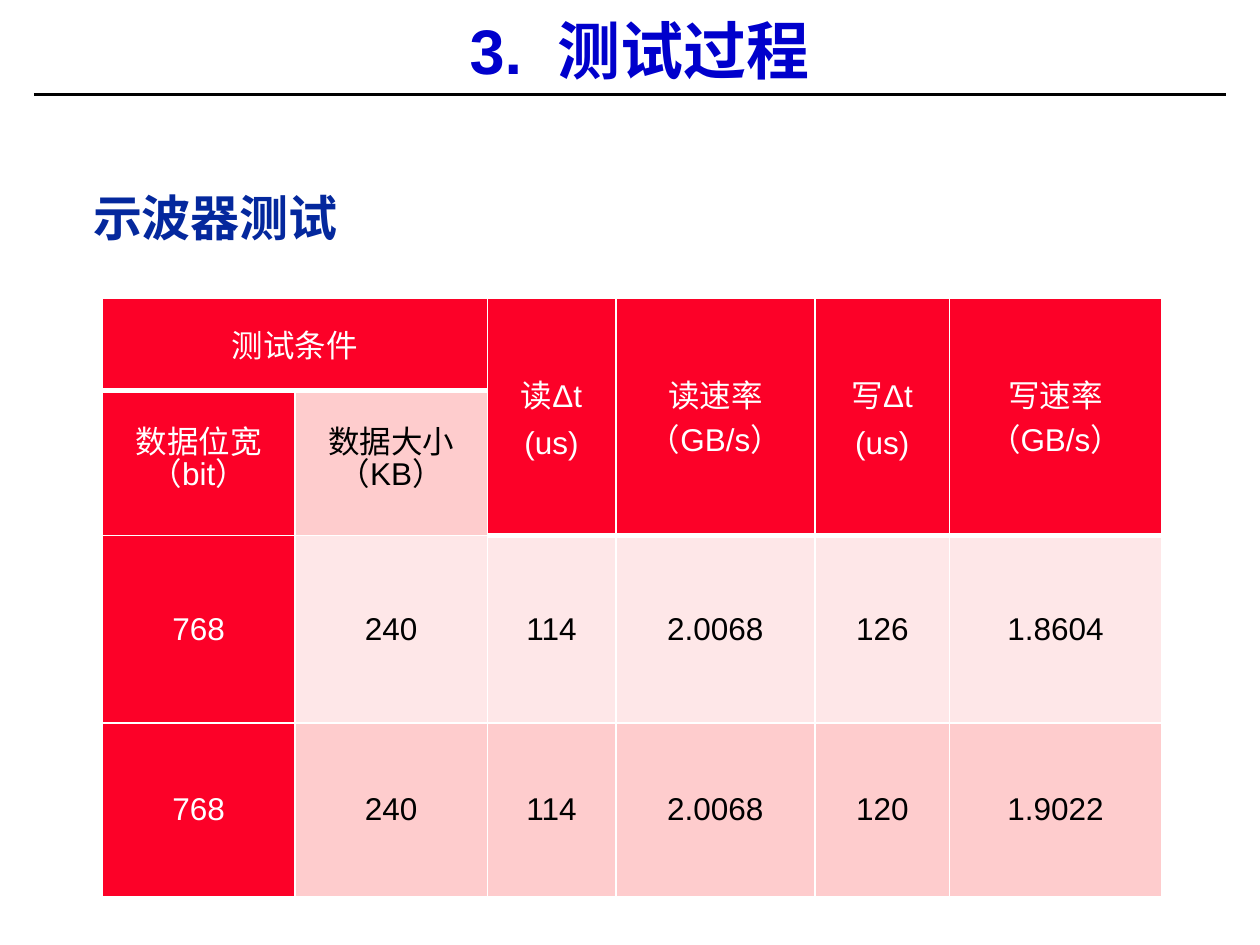
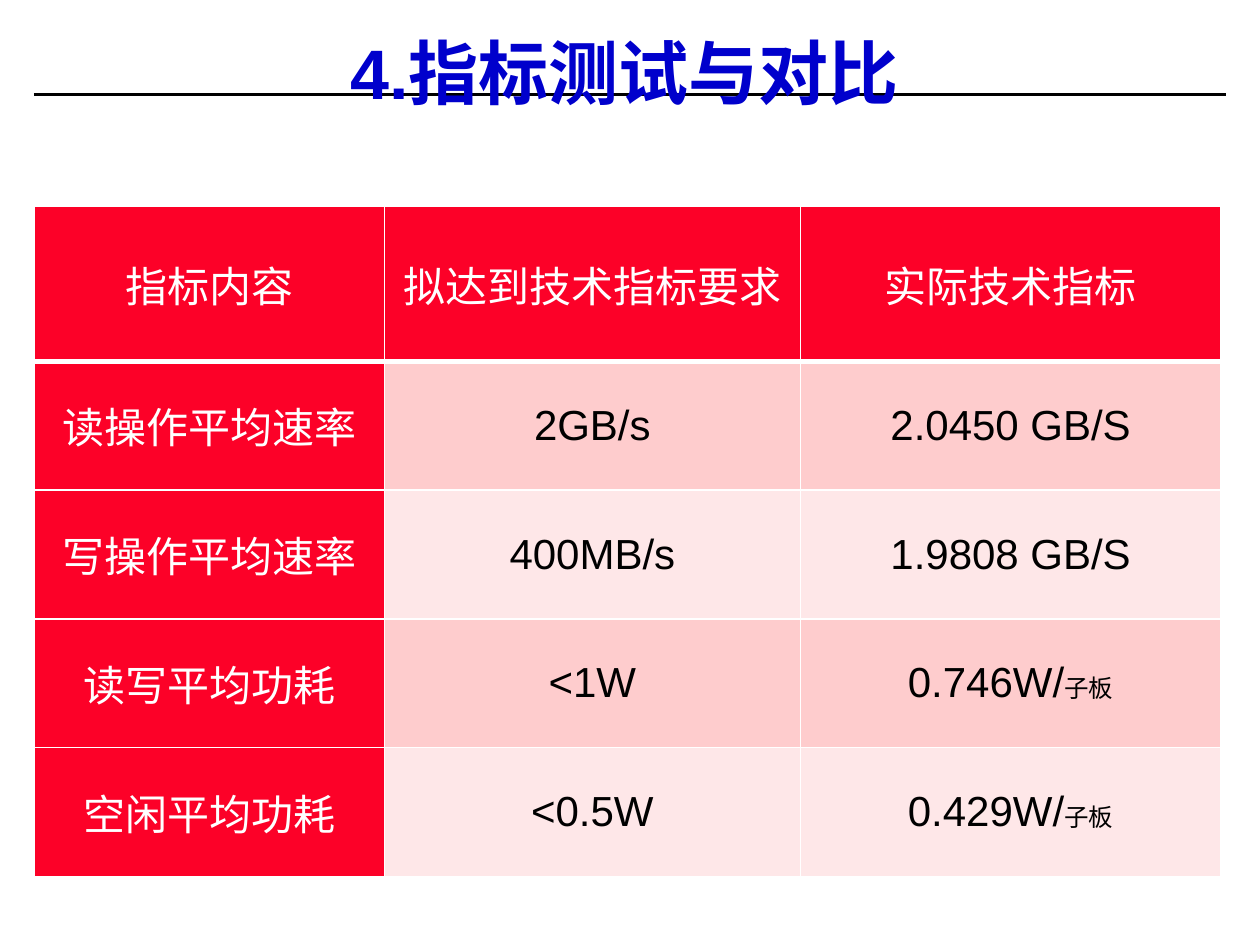
from lxml.etree import SubElement
from pptx import Presentation
from pptx.dml.color import RGBColor
from pptx.enum.shapes import MSO_CONNECTOR
from pptx.enum.text import MSO_ANCHOR, PP_ALIGN
from pptx.oxml.ns import qn
from pptx.util import Pt

COLORS = {
    "title": "0000CC",
    "subtitle": "04289D",
    "rule": "000000",
    "header": "FC0128",
    "dark_band": "FECCCD",
    "light_band": "FEE7E8",
    "white": "FFFFFF",
    "black": "000000",
}
FONT = "Arial"
NOTE_SIZE = 14


def color(name):
    return RGBColor.from_string(COLORS[name])


def add_run(p, text, size, name, bold=False):
    r = p.add_run()
    r.text = text
    r.font.name = FONT
    r.font.size = Pt(size)
    r.font.bold = bold
    r.font.color.rgb = color(name)
    return r


def add_rule(slide):
    ln = slide.shapes.add_connector(
        MSO_CONNECTOR.STRAIGHT, Pt(19.4), Pt(54), Pt(700.6), Pt(54))
    ln.line.color.rgb = color("rule")
    ln.line.width = Pt(1.5)
    SubElement(ln._element.spPr, qn("a:effectLst"))


def add_heading(slide, box, runs, size, name, align=PP_ALIGN.CENTER,
                anchor=MSO_ANCHOR.TOP, wrap=True, insets=(7.2, 3.6), spacing=None):
    tf = slide.shapes.add_textbox(*map(Pt, box)).text_frame
    tf.word_wrap = wrap
    tf.vertical_anchor = anchor
    tf.margin_left = tf.margin_right = Pt(insets[0])
    tf.margin_top = tf.margin_bottom = Pt(insets[1])
    p = tf.paragraphs[0]
    p.alignment = align
    p.line_spacing = spacing
    for text, tracking in runs:
        r = add_run(p, text, size, name, bold=True)
        if tracking:
            r._r.get_or_add_rPr().set("spc", str(tracking * 100))


def set_borders(cell, bottom):
    tc_pr = cell._tc.get_or_add_tcPr()
    for i, side in enumerate("LRTB"):
        width = bottom if side == "B" else 1
        ln = SubElement(tc_pr, qn(f"a:ln{side}"), w=str(Pt(width)))
        fill = SubElement(ln, qn("a:solidFill"))
        SubElement(fill, qn("a:srgbClr"), val=COLORS["white"])
        tc_pr.insert(i, ln)


def fill_cell(cell, paragraphs, size, text_color, spacing):
    tf = cell.text_frame
    for i, text in enumerate(paragraphs):
        p = tf.add_paragraph() if i else tf.paragraphs[0]
        p.alignment = PP_ALIGN.CENTER
        if spacing:
            p.line_spacing = Pt(spacing)
        main, _, note = text.partition("|")
        add_run(p, main, size, text_color)
        if note:
            add_run(p, note, NOTE_SIZE, text_color)


def add_grid(slide, left, top, cols, rows, cells, size, merges=(), spacings=None):
    frame = slide.shapes.add_table(len(rows), len(cols), Pt(left), Pt(top),
                                   Pt(sum(cols)), Pt(sum(rows)))
    table = frame.table
    for col, width in zip(table.columns, cols):
        col.width = Pt(width)
    for row, height in zip(table.rows, rows):
        row.height = Pt(height)
    for start, end in merges:
        table.cell(*start).merge(table.cell(*end))
    for i, texts in enumerate(cells):
        for j, text in enumerate(texts):
            cell = table.cell(i, j)
            header = i == 0 or j == 0
            band = "dark_band" if i % 2 else "light_band"
            cell.fill.solid()
            cell.fill.fore_color.rgb = color("header" if header else band)
            cell.vertical_anchor = MSO_ANCHOR.MIDDLE
            cell.margin_left = cell.margin_right = Pt(5)
            cell.margin_top = cell.margin_bottom = Pt(0)
            set_borders(cell, 3 if i == 0 else 1)
            if text:
                fill_cell(cell, text.split("\n"), size,
                          "white" if header else "black",
                          (spacings or {}).get(i))


def build_test_slide(slide):
    add_rule(slide)
    add_heading(slide, (18.7, 10.1, 693.4, 41.8),
                [("3.", 0), (" ", 10), ("测试过程", 0)], 36, "title",
                insets=(5, 2.2), spacing=0.87)
    add_heading(slide, (46.1, 103.7, 156.2, 41), [("示波器测试", 0)], 28,
                "subtitle", align=PP_ALIGN.LEFT, wrap=False)
    cells = [
        ["测试条件", "", "读Δt\n(us)", "读速率（GB/s）", "写Δt\n(us)", "写速率（GB/s）"],
        ["数据位宽（bit）", "数据大小\n（KB）", "", "", "", ""],
        ["768", "240", "114", "2.0068", "126", "1.8604"],
        ["768", "240", "114", "2.0068", "120", "1.9022"],
    ]
    merges = [((0, 0), (0, 1))] + [((0, j), (1, j)) for j in range(2, 6)]
    add_grid(slide, 58.5, 170.6, [110, 110, 73.4, 113.8, 77, 121],
             [52.6, 82.8, 107.3, 99.2], cells, 18, merges, {0: 25, 1: 18})


def build_comparison_slide(slide):
    add_rule(slide)
    cells = [
        ["指标内容", "拟达到技术指标要求", "实际技术指标"],
        ["读操作平均速率", "2GB/s", "2.0450 GB/S"],
        ["写操作平均速率", "400MB/s", "1.9808 GB/S"],
        ["读写平均功耗", "<1W", "0.746W/|子板"],
        ["空闲平均功耗", "<0.5W", "0.429W/|子板"],
    ]
    add_grid(slide, 19.7, 118.1, [200, 237.6, 240.5],
             [88.4] + [73.6] * 4, cells, 24)
    add_heading(slide, (57.6, 5, 598.3, 72), [("4.指标测试与对比", 0)], 40,
                "title", anchor=MSO_ANCHOR.MIDDLE)


def main():
    prs = Presentation()
    prs.slide_width, prs.slide_height = Pt(720), Pt(540)
    for build in (build_test_slide, build_comparison_slide):
        build(prs.slides.add_slide(prs.slide_layouts[6]))
    prs.save("out.pptx")


if __name__ == "__main__":
    main()
